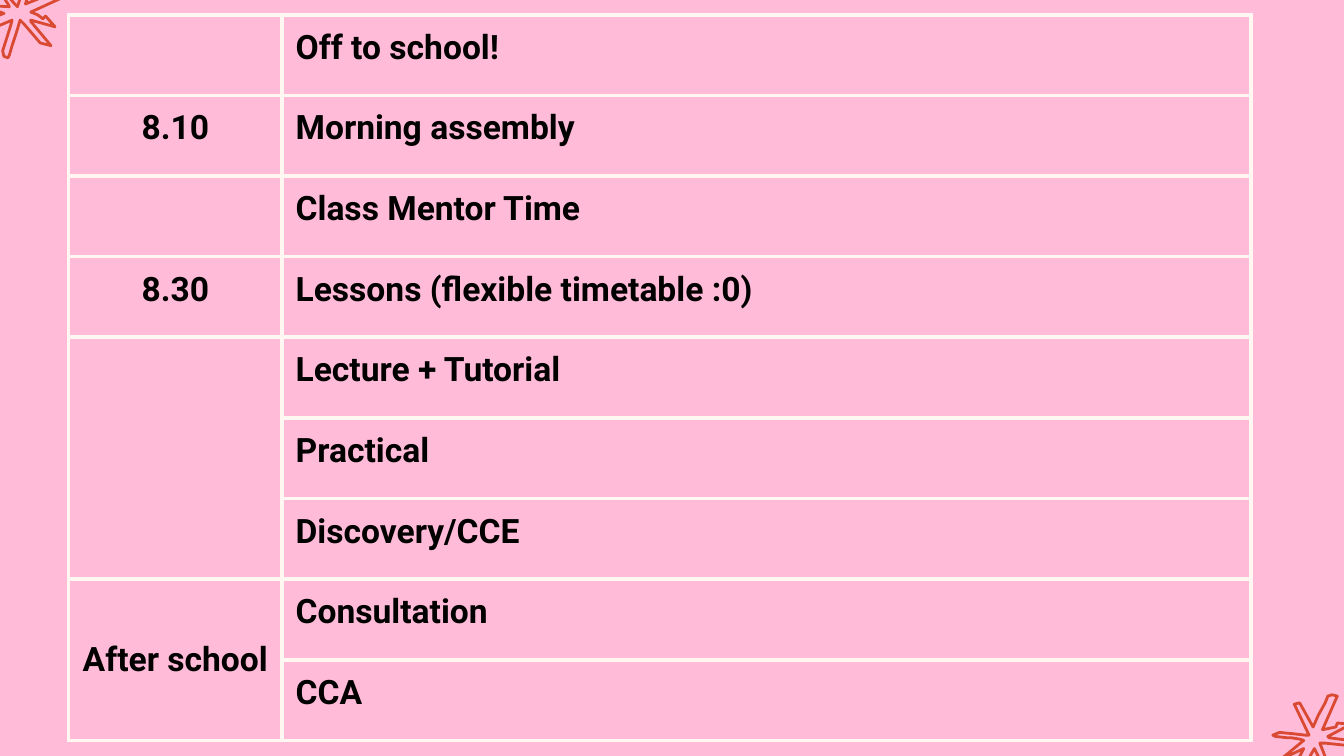
from dataclasses import dataclass
from typing import NamedTuple

from lxml.etree import SubElement
from pptx import Presentation
from pptx.dml.color import RGBColor
from pptx.enum.text import MSO_ANCHOR, PP_ALIGN
from pptx.oxml.ns import qn
from pptx.slide import Slide
from pptx.table import Table, _Cell
from pptx.util import Inches, Pt


@dataclass(frozen=True)
class Theme:
    background: str = "FFBBD8"
    border: str = "FFF8F2"
    star: str = "DA4A32"
    text: str = "000000"
    font: str = "Roboto"
    text_size: float = 18
    border_width: float = 2.25
    star_width: float = 1.5


class Entry(NamedTuple):
    time: str
    activity: str


class Block(NamedTuple):
    first_row: int
    last_row: int


THEME = Theme()
UNITS_PER_INCH = 100
COLUMN_WIDTHS = (1.59, 7.21)
ROW_HEIGHT = 0.6
CELL_MARGIN = 0.1

SCHEDULE = [
    Entry("", "Off to school!"),
    Entry("8.10", "Morning assembly"),
    Entry("", "Class Mentor Time"),
    Entry("8.30", "Lessons (flexible timetable :0)"),
    Entry("", "Lecture + Tutorial"),
    Entry("", "Practical"),
    Entry("", "Discovery/CCE"),
    Entry("After school", "Consultation"),
    Entry("", "CCA"),
]
TIME_BLOCKS = [Block(4, 6), Block(7, 8)]

BOTTOM_STAR = [
    (963, 524), (967, 523), (972, 532), (977, 541), (981, 532), (986, 523),
    (988, 518), (991, 517), (995, 518), (984, 543), (989, 542), (994, 541),
    (995, 538), (1005, 539), (988, 548), (989, 549), (1012, 552), (1005, 555),
    (996, 554), (986, 553), (982, 553), (986, 563), (991, 572), (994, 578),
    (994, 580), (992, 581), (989, 579), (980, 561), (978, 557), (974, 564),
    (970, 574), (964, 576), (963, 573), (966, 565), (970, 557), (953, 565),
    (970, 551), (967, 550), (961, 549), (958, 549), (949, 548), (947, 547),
    (952, 545), (962, 546), (971, 547), (974, 547),
]
TOP_STAR = [
    (21, -19), (24, -18), (22, -7), (19, 3), (29, -1), (38, -5),
    (42, -7), (45, -6), (47, -2), (23, 9), (28, 11), (32, 14),
    (34, 12), (41, 20), (23, 15), (23, 16), (38, 34), (30, 32),
    (24, 25), (18, 18), (15, 15), (12, 25), (9, 34), (7, 41),
    (6, 43), (3, 42), (2, 38), (8, 19), (9, 15), (2, 18),
    (-8, 22), (-13, 20), (-12, 17), (-5, 13), (3, 10), (-14, 4),
    (7, 5), (6, 3), (2, -3), (0, -5), (-6, -11), (-6, -13),
    (-2, -11), (5, -4), (11, 3), (13, 5),
]


def draw_star(page: Slide, points: list[tuple[int, int]]) -> None:
    builder = page.shapes.build_freeform(
        *points[0], scale=Inches(1) / UNITS_PER_INCH
    )
    builder.add_line_segments(points[1:], close=True)
    star = builder.convert_to_shape()
    star.shadow.inherit = False
    star.fill.background()
    star.line.color.rgb = RGBColor.from_string(THEME.star)
    star.line.width = Pt(THEME.star_width)


def style_cell(cell: _Cell) -> None:
    cell.margin_left = cell.margin_right = Inches(CELL_MARGIN)
    cell.margin_top = cell.margin_bottom = Inches(CELL_MARGIN)
    properties = cell._tc.get_or_add_tcPr()
    for side in ("a:lnL", "a:lnR", "a:lnT", "a:lnB"):
        line = SubElement(properties, qn(side), w=str(Pt(THEME.border_width)))
        fill = SubElement(line, qn("a:solidFill"))
        SubElement(fill, qn("a:srgbClr"), val=THEME.border)
    cell.fill.background()


def write_cell(cell: _Cell, text: str, alignment: PP_ALIGN) -> None:
    para = cell.text_frame.paragraphs[0]
    para.alignment = alignment
    para.font.size = Pt(THEME.text_size)
    if not text:
        return
    span = para.add_run()
    span.text = text
    span.font.name = THEME.font
    span.font.size = Pt(THEME.text_size)
    span.font.bold = True
    span.font.color.rgb = RGBColor.from_string(THEME.text)


def merge_times(table: Table, block: Block) -> None:
    cell = table.cell(block.first_row, 0)
    cell.merge(table.cell(block.last_row, 0))
    cell.vertical_anchor = MSO_ANCHOR.MIDDLE


def draw_schedule(page: Slide) -> None:
    frame = page.shapes.add_table(
        len(SCHEDULE), len(COLUMN_WIDTHS), Inches(0.51), Inches(0.11),
        Inches(sum(COLUMN_WIDTHS)), Inches(ROW_HEIGHT * len(SCHEDULE)),
    )
    table = frame.table
    table.first_row = False
    table.horz_banding = False
    for column, width in zip(table.columns, COLUMN_WIDTHS):
        column.width = Inches(width)
    for row, entry in zip(table.rows, SCHEDULE):
        row.height = Inches(ROW_HEIGHT)
        for cell, text, alignment in zip(
            row.cells, entry, (PP_ALIGN.CENTER, PP_ALIGN.LEFT)
        ):
            style_cell(cell)
            write_cell(cell, text, alignment)
    for block in TIME_BLOCKS:
        merge_times(table, block)


def main() -> None:
    deck = Presentation()
    deck.slide_width = Inches(10)
    deck.slide_height = deck.slide_width * 9 // 16
    page = deck.slides.add_slide(deck.slide_layouts[6])
    page.background.fill.solid()
    page.background.fill.fore_color.rgb = RGBColor.from_string(THEME.background)
    draw_star(page, BOTTOM_STAR)
    draw_star(page, TOP_STAR)
    draw_schedule(page)
    deck.save("out.pptx")


if __name__ == "__main__":
    main()
